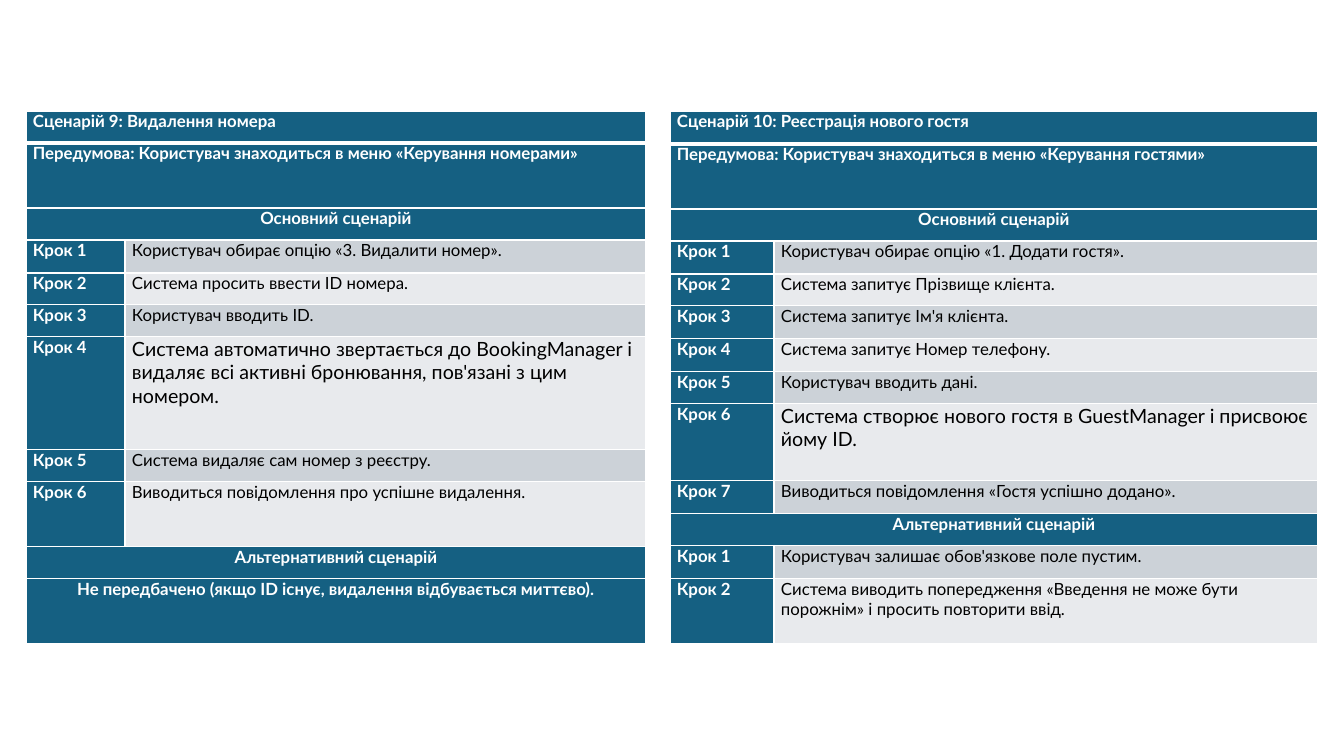
from lxml import etree
from pptx import Presentation
from pptx import util as u
from pptx.dml.color import RGBColor
from pptx.enum import text
from pptx.oxml.ns import qn

# Each row: height in px, label, step description (None spans both columns), size in pt
SCENARIOS = [
    {"left": 26, "columns": (99, 521), "rows": [
        (32, "Сценарій 9: Видалення номера", None, 12),
        (65, "Передумова: Користувач знаходиться в меню «Керування номерами»", None, 12),
        (32, "Основний сценарій", None, 12),
        (33, "Крок 1", "Користувач обирає опцію «3. Видалити номер».", 12),
        (32, "Крок 2", "Система просить ввести ID номера.", 12),
        (32, "Крок 3", "Користувач вводить ID.", 12),
        (113, "Крок 4", "Система автоматично звертається до BookingManager і видаляє "
                        "всі активні бронювання, пов'язані з цим номером.", 14),
        (32, "Крок 5", "Система видаляє сам номер з реєстру.", 12),
        (65, "Крок 6", "Виводиться повідомлення про успішне видалення.", 12),
        (32, "Альтернативний сценарій", None, 12),
        (65, "Не передбачено (якщо ID існує, видалення відбувається миттєво).", None, 12),
    ]},
    {"left": 670, "columns": (104, 544), "rows": [
        (33, "Сценарій 10: Реєстрація нового гостя", None, 12),
        (65, "Передумова: Користувач знаходиться в меню «Керування гостями»", None, 12),
        (32, "Основний сценарій", None, 12),
        (33, "Крок 1", "Користувач обирає опцію «1. Додати гостя».", 12),
        (32, "Крок 2", "Система запитує Прізвище клієнта.", 12),
        (33, "Крок 3", "Система запитує Ім'я клієнта.", 12),
        (33, "Крок 4", "Система запитує Номер телефону.", 12),
        (32, "Крок 5", "Користувач вводить дані.", 12),
        (77, "Крок 6", "Система створює нового гостя в GuestManager і присвоює йому ID.", 14),
        (33, "Крок 7", "Виводиться повідомлення «Гостя успішно додано».", 12),
        (32, "Альтернативний сценарій", None, 12),
        (33, "Крок 1", "Користувач залишає обов'язкове поле пустим.", 12),
        (65, "Крок 2", "Система виводить попередження «Введення не може бути "
                       "порожнім» і просить повторити ввід.", 12),
    ]},
]
TOP = 111
PADDING = 7
INTRO_ROWS = 2  # title and precondition are left-aligned, later headings centred
FONT = "Lato"
TEAL = RGBColor(0x15, 0x60, 0x82)
BANDS = (RGBColor(0xE8, 0xEA, 0xED), RGBColor(0xCC, 0xD2, 0xD8))
WHITE = RGBColor(0xFF, 0xFF, 0xFF)
BLACK = RGBColor(0, 0, 0)


def px(length):
    return u.Emu(round(length * 914400 / 100.8))


def set_borders(cell, top, bottom):
    properties = cell._tc.get_or_add_tcPr()
    widths = {"lnL": 1, "lnR": 1, "lnT": top, "lnB": bottom}
    for index, (side, width) in enumerate(widths.items()):
        line = etree.Element(qn(f"a:{side}"), w=str(u.Pt(width)))
        fill = etree.SubElement(line, qn("a:solidFill"))
        etree.SubElement(fill, qn("a:srgbClr"), val=str(WHITE))
        properties.insert(index, line)


def fill_cell(cell, words, size, fill, colour, bold, centred=False):
    cell.margin_left = cell.margin_right = px(PADDING)
    cell.margin_top = cell.margin_bottom = 0
    cell.fill.solid()
    cell.fill.fore_color.rgb = fill
    cell.text_frame.text = words
    para = cell.text_frame.paragraphs[0]
    para.alignment = text.PP_ALIGN.CENTER if centred else text.PP_ALIGN.LEFT
    para.font.size = u.Pt(size)
    for span in para.runs:
        span.font.name = FONT
        span.font.size = u.Pt(size)
        span.font.bold = bold
        span.font.color.rgb = colour


def add_scenario(page, left, columns, rows):
    height = sum(row[0] for row in rows)
    table = page.shapes.add_table(len(rows), len(columns), px(left), px(TOP),
                                  px(sum(columns)), px(height)).table
    for column, width in zip(table.columns, columns):
        column.width = px(width)
    for index, (height, label, step, size) in enumerate(rows):
        table.rows[index].height = px(height)
        heading, detail = table.cell(index, 0), table.cell(index, 1)
        spans = step is None
        fill_cell(heading, label, 12, TEAL, WHITE, True, spans and index >= INTRO_ROWS)
        fill_cell(detail, step or "", size, TEAL if spans else BANDS[index % 2], BLACK, False)
        # The title row is set off by a thicker rule
        for cell in (heading, detail):
            set_borders(cell, 3 if index == 1 else 1, 3 if index == 0 else 1)
        if spans:
            heading.merge(detail)


deck = Presentation()
deck.slide_width, deck.slide_height = px(1344), px(756)
page = deck.slides.add_slide(deck.slide_layouts[6])
for scenario in SCENARIOS:
    add_scenario(page, **scenario)
deck.save("out.pptx")
